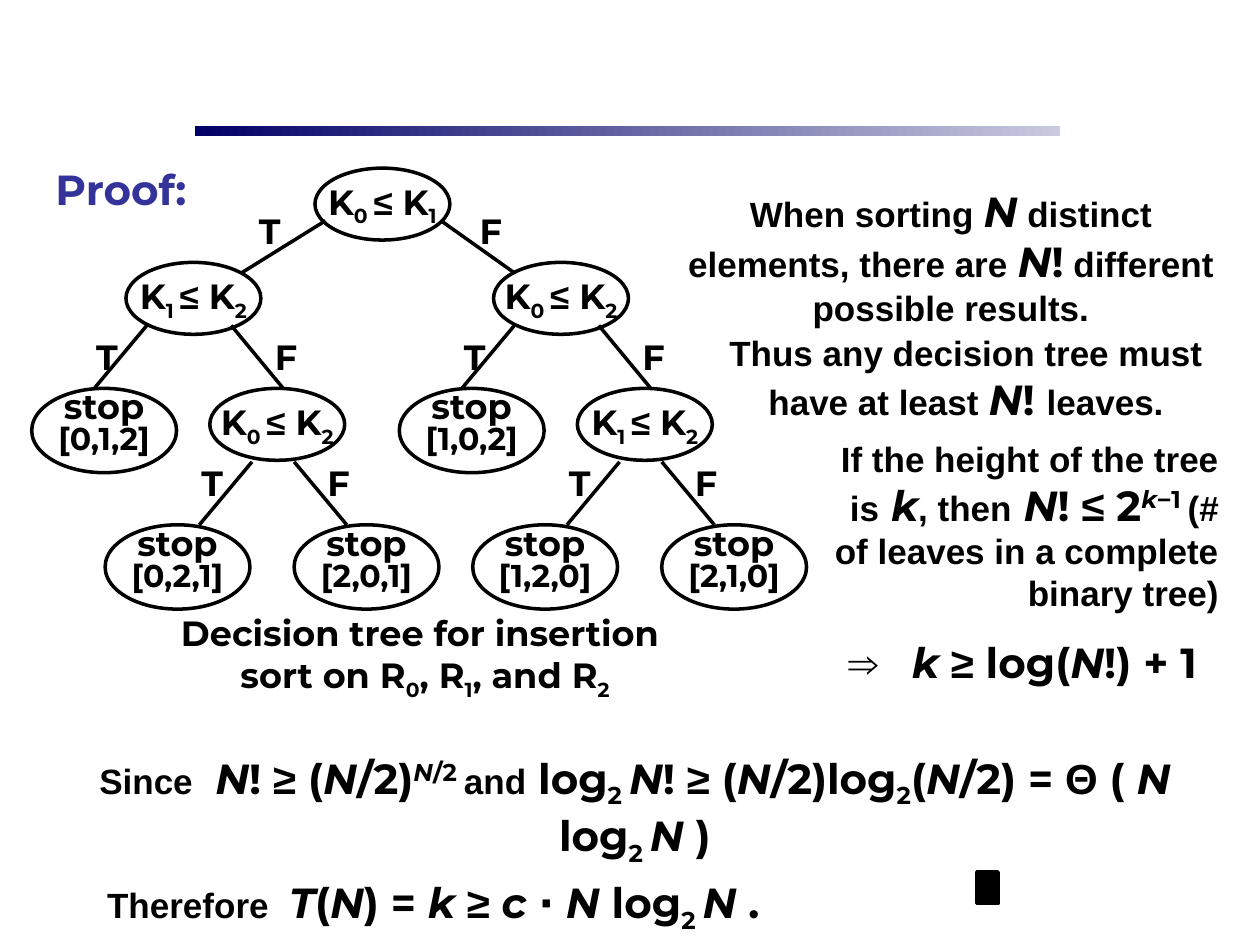
from lxml import etree
from pptx import Presentation
from pptx import util as u
from pptx.dml.color import RGBColor
from pptx.enum import shapes, text
from pptx.oxml import ns

rgb = RGBColor.from_string
LEFT, CENTER, RIGHT = text.PP_ALIGN.LEFT, text.PP_ALIGN.CENTER, text.PP_ALIGN.RIGHT
MIDDLE, TOP = text.MSO_ANCHOR.MIDDLE, text.MSO_ANCHOR.TOP
RUN_ATTRIBUTES = {"_": ("baseline", "-25000"), "^": ("baseline", "30000"), "w": ("spc", "600")}


def write(shape, paragraphs, size=24, color="000000", align=CENTER, wrap=True,
          side=0.25, spacing=1.0, before=0):
    """Fill a shape with paragraphs of (words, style) runs.

    Style letters: a = Arial 20 pt, s = Arial at full size, i = italic,
    _ = subscript, ^ = superscript, w = widened spacing.
    """
    frame = shape.text_frame
    frame.word_wrap = wrap
    frame.vertical_anchor = TOP if wrap else MIDDLE
    if wrap:
        frame.auto_size = text.MSO_AUTO_SIZE.SHAPE_TO_FIT_TEXT
    frame.margin_left = frame.margin_right = u.Cm(side)
    for number, runs in enumerate(paragraphs):
        paragraph = frame.add_paragraph() if number else frame.paragraphs[0]
        paragraph.alignment = align
        paragraph.line_spacing = spacing
        paragraph.space_before = u.Pt(before)
        for words, style in runs:
            run = paragraph.add_run()
            run.text = words
            font = run.font
            font.name = "Arial" if set(style) & set("as") else "Montserrat"
            font.size = u.Pt(20 if "a" in style else size)
            font.bold, font.italic = True, "i" in style
            font.color.rgb = rgb(color)
            for letter, (attribute, value) in RUN_ATTRIBUTES.items():
                if letter in style:
                    font._element.set(attribute, value)


prs = Presentation()
prs.slide_width, prs.slide_height = u.Cm(25.4), u.Cm(19.05)
slide = prs.slides.add_slide(prs.slide_layouts[6])

# Title rule
rule = slide.shapes.add_shape(shapes.MSO_SHAPE.RECTANGLE,
                              u.Cm(3.93), u.Cm(2.54), u.Cm(17.45), u.Cm(0.2))
rule.shadow.inherit = False
rule.line.fill.background()
rule.fill.gradient()
rule.fill.gradient_angle = 0
for stop, shade in zip(rule.fill.gradient_stops, ("000066", "C9C9DF")):
    stop.color.rgb = rgb(shade)

# Decision tree: the root, then two subtrees of the same form
comparisons = [(6.35, 3.39, "01")]
stops = []
branches = [(6.56, 4.45, 4.87, 5.5), (8.89, 4.45, 10.37, 5.5)]
outcomes = [(4.97, 4.23, "T"), (9.42, 4.23, "F")]
subtrees = [(0, "12", "02", ("[0,1,2]", "[0,2,1]", "[2,0,1]")),
            (7.41, "02", "12", ("[1,0,2]", "[1,2,0]", "[2,1,0]"))]
for shift, upper, lower, orders in subtrees:
    comparisons += [(2.54 + shift, 5.29, upper), (4.23 + shift, 7.83, lower)]
    for (x, y), order in zip(((0.64, 7.83), (2.12, 10.58), (5.93, 10.58)), orders):
        stops.append((x + shift, y, order))
    for x, y in ((2.96, 6.56), (5.08, 9.31)):
        x += shift
        branches += [(x, y, x - 1.06, y + 1.27), (x + 0.85 * 2, y, x + 2.75, y + 1.27)
                     if y < 7 else (x + 0.85, y, x + 1.91, y + 1.27)]
    for x, y, outcome in ((1.69, 6.77, "T"), (5.29, 6.77, "F"),
                          (3.81, 9.31, "T"), (6.35, 9.31, "F")):
        outcomes.append((x + shift, y, outcome))

for x1, y1, x2, y2 in branches:
    branch = slide.shapes.add_connector(shapes.MSO_CONNECTOR.STRAIGHT,
                                        u.Cm(x1), u.Cm(y1), u.Cm(x2), u.Cm(y2))
    branch.line.color.rgb = rgb("000000")
    branch.line.width = u.Pt(2)
    etree.SubElement(branch._element.spPr, ns.qn("a:effectLst"))

nodes = [(x, y, 2.72, 1.45, [[("K", ""), (a + " ", "_"), ("≤", "s"), (" K", ""), (b, "_")]])
         for x, y, (a, b) in comparisons]
nodes += [(x, y, 2.92, 1.7, order) for x, y, order in stops]
for x, y, width, height, content in nodes:
    node = slide.shapes.add_shape(shapes.MSO_SHAPE.OVAL,
                                  u.Cm(x), u.Cm(y), u.Cm(width), u.Cm(height))
    node.shadow.inherit = False
    node.fill.background()
    node.line.color.rgb = rgb("000000")
    node.line.width = u.Pt(2)
    if isinstance(content, str):
        write(node, [[("stop", "")], [(content, "")]], size=20, wrap=False, spacing=0.8)
        node.text_frame.margin_top, node.text_frame.margin_bottom = 0, u.Cm(0.23)
        node.text_frame.paragraphs[1].runs[0].font.size = u.Pt(18)
    else:
        write(node, content, size=20, wrap=False)

for x, y, outcome in outcomes:
    label = slide.shapes.add_textbox(u.Cm(x), u.Cm(y), u.Cm(0.85), u.Cm(0.85))
    write(label, [[(outcome, "")]], size=20, wrap=False)

caption = slide.shapes.add_textbox(u.Cm(0.85), u.Cm(12.49), u.Cm(15.24), u.Cm(1.48))
write(caption, [[("Decision tree for insertion", "")],
                [(" sort on R", ""), ("0", "_"), (", R", ""), ("1", "_"),
                 (", and R", ""), ("2", "_")]], size=20, wrap=False)

# Steps of the proof
heading = slide.shapes.add_textbox(u.Cm(0.64), u.Cm(3.18), u.Cm(3.6), u.Cm(1.27))
write(heading, [[("Proof:", "")]], color="333399", before=15)

results = [("When sorting ", "a"), ("N", "i"), (" distinct elements, there are ", "a"),
           ("N", "i"), ("!", ""), (" different possible results.", "a")]
leaves = [("Thus any decision tree must have at least ", "a"), ("N", "i"), ("! ", ""),
          ("leaves.", "a")]
height_bound = [("If the height of the tree is", "a"), (" ", ""), ("k", "i"), (", then", "a"),
                (" ", ""), ("N", "i"), ("! ", ""), ("≤", "s"), (" 2", ""), ("k", "i^"),
                ("−", "s^"), ("1 ", "^"), ("(# of leaves in a complete binary tree)", "a")]
conclusion = [("⇒ ", "sw"), ("k ", "i"), ("≥", "s"), (" log(", ""), ("N", "i"), ("!) + 1", "")]
since = [("Since", "a"), (" ", "w"), ("N", "i"), ("! ", ""), ("≥", "s"), (" (", ""), ("N", "i"),
         ("/2)", ""), ("N", "i^"), ("/2 ", "^"), ("and", "a"), (" log", ""), ("2 ", "_"),
         ("N", "i"), ("! ", ""), ("≥", "s"), (" (", ""), ("N", "i"), ("/2)log", ""), ("2", "_"),
         ("(", ""), ("N", "i"), ("/2) = ", ""), ("Θ", "s"), (" ( ", ""), ("N", "i"),
         (" log", ""), ("2 ", "_"), ("N", "i"), (" )", "")]
therefore = [("Therefore", "a"), (" ", "aw"), ("T", "i"), ("(", ""), ("N", "i"), (") = ", ""),
             ("k ", "i"), ("≥ ", "s"), ("c ", "i"), ("⋅ ", "s"), ("N", "i"), (" log", ""),
             ("2 ", "_"), ("N", "i"), (" .", "")]
steps = [(13.77, 3.61, 10.8, 3.15, results, CENTER, 0, 0),
         (14.61, 6.55, 9.73, 2.13, leaves, CENTER, 0, 0),
         (16.31, 8.69, 8.26, 3.81, height_bound, RIGHT, 0, 0),
         (16.71, 12.7, 7.82, 1.27, conclusion, CENTER, 0.25, 15),
         (1.27, 15.04, 23.06, 2.57, since, CENTER, 0.25, 15),
         (1.91, 17.55, 23.06, 1.42, therefore, LEFT, 0.25, 15)]
for x, y, width, height, runs, align, side, before in steps:
    step = slide.shapes.add_textbox(u.Cm(x), u.Cm(y), u.Cm(width), u.Cm(height))
    write(step, [runs], align=align, side=side, before=before)

# End-of-proof mark
end_mark = slide.shapes.add_shape(shapes.MSO_SHAPE.RECTANGLE,
                                  u.Cm(19.69), u.Cm(17.58), u.Cm(0.43), u.Cm(0.64))
end_mark.shadow.inherit = False
end_mark.fill.solid()
end_mark.fill.fore_color.rgb = rgb("000000")
end_mark.line.color.rgb = rgb("000000")
end_mark.line.width = u.Pt(2)

prs.save("out.pptx")
